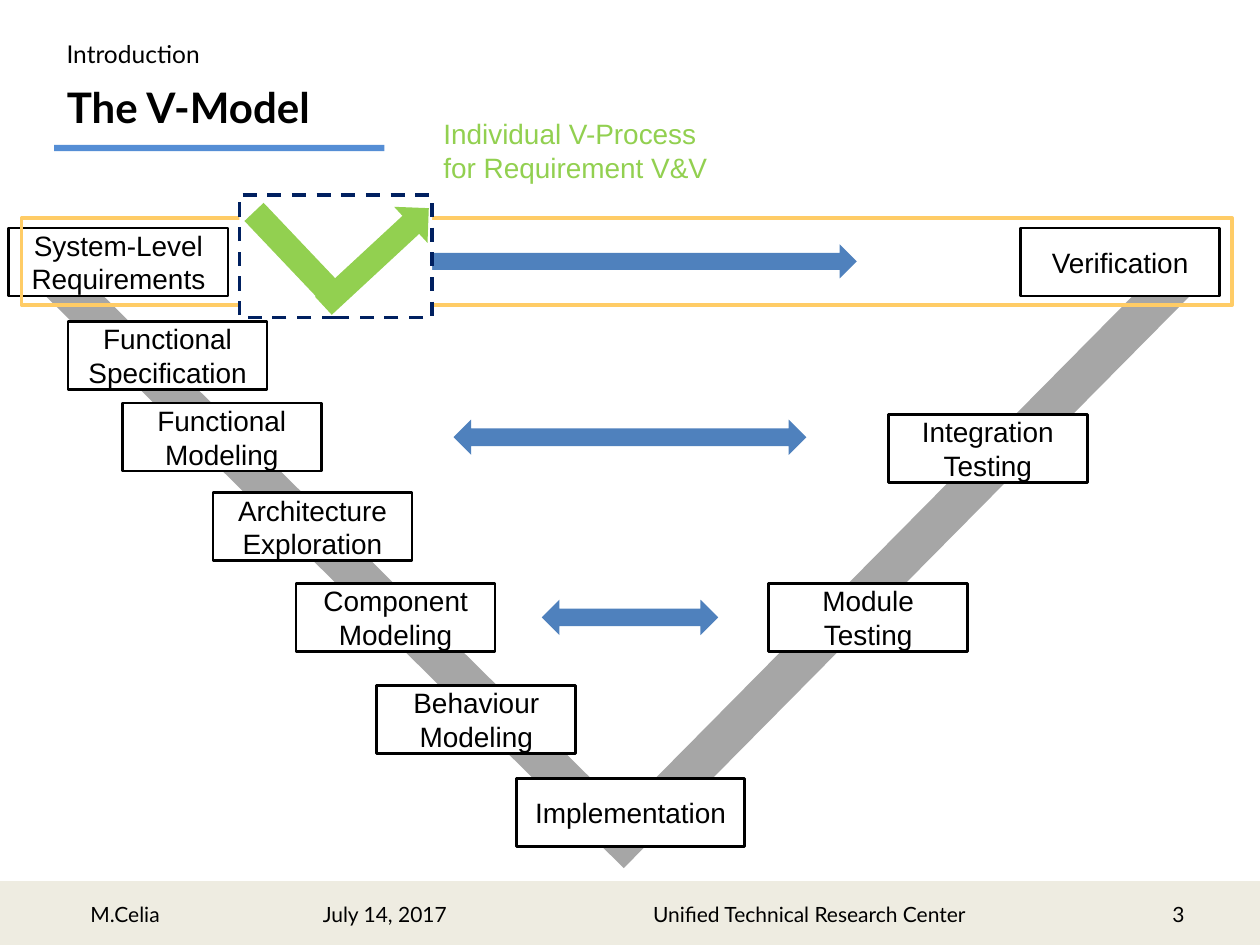
from dataclasses import dataclass

from pptx import Presentation
from pptx.dml.color import RGBColor
from pptx.enum.dml import MSO_LINE
from pptx.enum.shapes import MSO_SHAPE
from pptx.enum.text import MSO_ANCHOR, MSO_AUTO_SIZE, PP_ALIGN
from pptx.util import Inches, Pt

RECTANGLE = MSO_SHAPE.RECTANGLE
DOUBLE_ARROW = MSO_SHAPE.LEFT_RIGHT_ARROW
UP_ARROW = MSO_SHAPE.UP_ARROW
V_ARROW = MSO_SHAPE.LEFT_UP_ARROW
DASH = MSO_LINE.DASH
LEFT, CENTER, RIGHT = PP_ALIGN.LEFT, PP_ALIGN.CENTER, PP_ALIGN.RIGHT
TOP, MIDDLE = MSO_ANCHOR.TOP, MSO_ANCHOR.MIDDLE
NO_AUTOFIT = MSO_AUTO_SIZE.NONE


@dataclass(frozen=True)
class Theme:
    heading_font: str = "Lato"
    body_font: str = "Arial"
    title_size: int = 24
    section_size: int = 14
    footer_size: int = 12
    body_size: int = 16
    black: str = "000000"
    white: str = "FFFFFF"
    footer: str = "EEECE1"
    gray: str = "A6A6A6"
    rule: str = "558ED5"
    blue: str = "4F81BD"
    navy: str = "002060"
    orange: str = "FFCC66"
    green: str = "92D050"


THEME = Theme()
STAGE_WIDTH = 1.58
STAGE_HEIGHT = 0.54

STAGES = [
    (0.07, 1.81, 1.74, "System-Level\nRequirements"),
    (0.54, 2.55, STAGE_WIDTH, "Functional\nSpecification"),
    (0.97, 3.2, STAGE_WIDTH, "Functional\nModeling"),
    (1.69, 3.91, STAGE_WIDTH, "Architecture Exploration"),
    (2.35, 4.63, STAGE_WIDTH, "Component Modeling"),
    (2.99, 5.44, STAGE_WIDTH, "Behaviour Modeling"),
    (4.1, 6.18, 1.81, "Implementation"),
    (6.1, 4.63, STAGE_WIDTH, "Module\nTesting"),
    (7.05, 3.29, STAGE_WIDTH, "Integration\nTesting"),
    (8.1, 1.81, STAGE_WIDTH, "Verification"),
]
LINKS = [(3.14, 1.94, 3.66, 0.27), (3.6, 3.33, 2.8, 0.28), (4.3, 4.76, 1.4, 0.28)]
FOOTER = [
    (1.93, 2.25, CENTER, "July 14, 2017"),
    (4.84, 3.17, CENTER, "Unified Technical Research Center"),
    (7.17, 2.33, RIGHT, "3"),
]


def place(area):
    return [Inches(length) for length in area]


def write(shape, text, size, font, color=THEME.black, align=LEFT, anchor=TOP,
          bold=False, wrap=True):
    frame = shape.text_frame
    frame.text = text
    frame.word_wrap = wrap
    frame.auto_size = NO_AUTOFIT
    frame.vertical_anchor = anchor
    for para in frame.paragraphs:
        para.alignment = align
        for span in para.runs:
            span.font.name = font
            span.font.size = Pt(size)
            span.font.bold = bold
            span.font.color.rgb = RGBColor.from_string(color)


def add_label(page, area, text, size, font, **style):
    box = page.shapes.add_textbox(*place(area))
    write(box, text, size, font, **style)


def add_figure(shapes, kind, area, fill=None, line=None, width=2, rotation=0):
    figure = shapes.add_shape(kind, *place(area))
    figure.shadow.inherit = False
    figure.rotation = rotation
    if fill:
        figure.fill.solid()
        figure.fill.fore_color.rgb = RGBColor.from_string(fill)
    else:
        figure.fill.background()
    if line:
        figure.line.color.rgb = RGBColor.from_string(line)
        figure.line.width = Pt(width)
    else:
        figure.line.fill.background()
    return figure


def add_stage(page, left, top, width, text):
    box = add_figure(page.shapes, RECTANGLE, (left, top, width, STAGE_HEIGHT),
                     THEME.white, THEME.black, 1.5)
    write(box, text, THEME.body_size, THEME.body_font, align=CENTER, anchor=MIDDLE)


def add_heading(page):
    title = page.shapes.title
    title.left, title.top, title.width, title.height = place((0.43, 0.6, 2.62, 0.5))
    write(title, "The V-Model", THEME.title_size, THEME.heading_font, bold=True)
    add_label(page, (0.43, 0.26, 2.62, 0.34), "Introduction",
              THEME.section_size, THEME.heading_font)
    add_figure(page.shapes, RECTANGLE, (0.43, 1.15, 2.62, 0.05), THEME.rule)


def add_footer(page):
    add_figure(page.shapes, RECTANGLE, (0, 7.01, 10, 0.49), THEME.footer, THEME.footer)
    add_label(page, (0.62, 7.11, 1.13, 0.3), "M.Celia",
              THEME.footer_size, THEME.heading_font)
    for left, width, align, text in FOOTER:
        add_label(page, (left, 7.01, width, 0.49), text, THEME.footer_size,
                  THEME.heading_font, align=align, anchor=MIDDLE)


def add_v_model(page):
    backbone = add_figure(page.shapes, V_ARROW, (1.74, -0.99, 6.45, 6.56),
                          THEME.gray, rotation=44.7)
    for index, value in enumerate((0.05, 0.025, 0)):
        backbone.adjustments[index] = value
    for stage in STAGES:
        add_stage(page, *stage)


def add_requirement_process(page):
    add_figure(page.shapes, RECTANGLE, (0.17, 1.73, 9.61, 0.69), line=THEME.orange)
    add_label(page, (3.42, 0.88, 2.32, 0.64),
              "Individual V-Process\vfor Requirement V&V", THEME.body_size,
              THEME.body_font, color=THEME.green, wrap=False)
    for area in LINKS:
        add_figure(page.shapes, DOUBLE_ARROW, area, THEME.blue)
    frame = add_figure(page.shapes, RECTANGLE, (1.9, 1.55, 1.53, 0.97),
                       THEME.white, THEME.navy)
    frame.line.dash_style = DASH
    small_v = page.shapes.add_group_shape()
    add_figure(small_v.shapes, UP_ARROW, (2.79, 1.47, 0.39, 1.14),
               THEME.green, rotation=47.2)
    add_figure(small_v.shapes, RECTANGLE, (1.86, 1.94, 1, 0.21),
               THEME.green, rotation=46.5)


def main():
    deck = Presentation()
    deck.slide_width, deck.slide_height = Inches(10), Inches(7.5)
    page = deck.slides.add_slide(deck.slide_layouts[5])
    add_footer(page)
    add_heading(page)
    add_v_model(page)
    add_requirement_process(page)
    deck.save("out.pptx")


if __name__ == "__main__":
    main()
